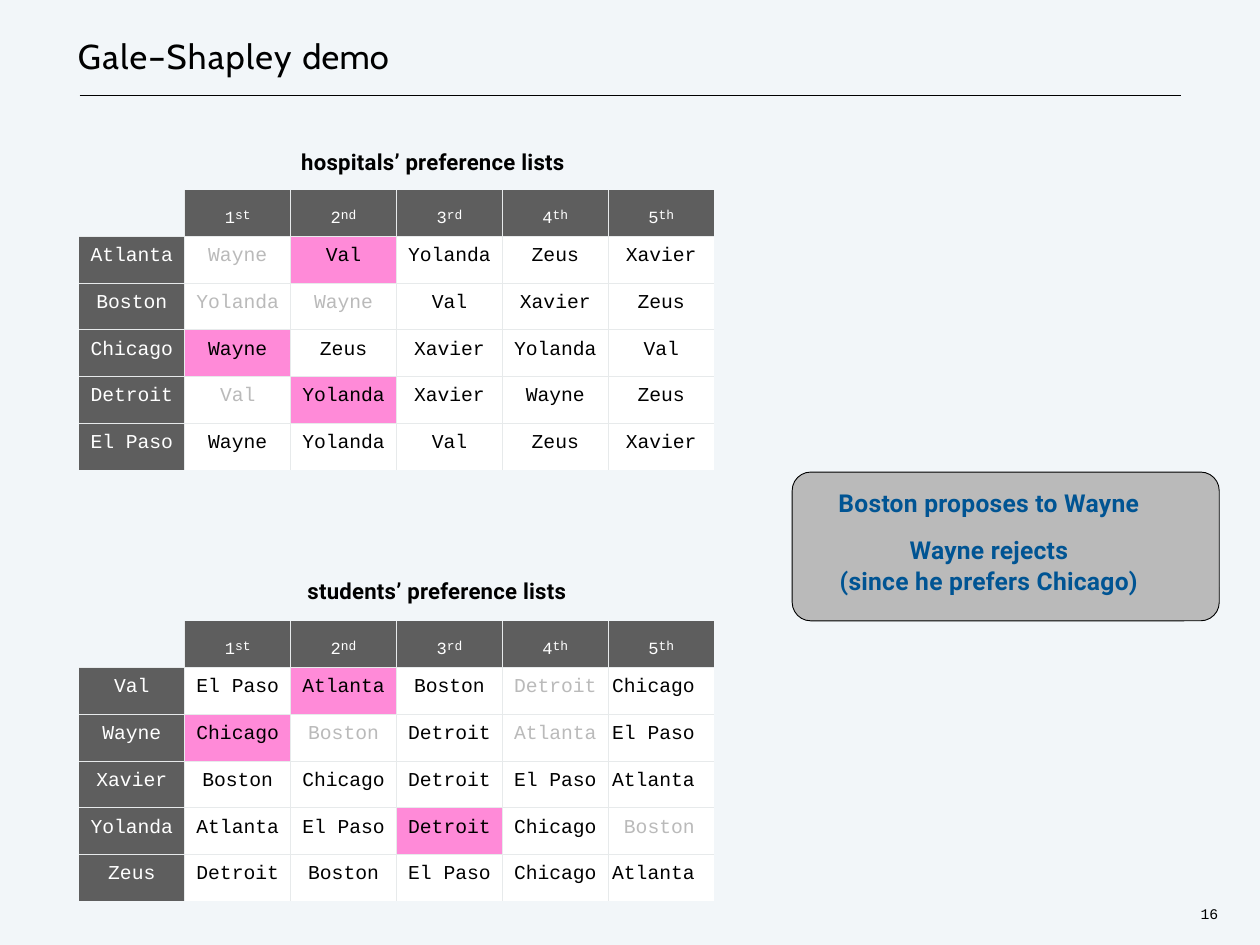
from lxml.etree import SubElement
from pptx import Presentation
from pptx.dml.color import RGBColor
from pptx.enum.shapes import MSO_CONNECTOR, MSO_SHAPE
from pptx.enum.text import MSO_ANCHOR, PP_ALIGN
from pptx.oxml.ns import qn
from pptx.util import Inches, Pt

BACK = RGBColor(0xF2, 0xF6, 0xF9)
BLACK = RGBColor(0, 0, 0)
WHITE = RGBColor(0xFF, 0xFF, 0xFF)
DARK = RGBColor(0x5E, 0x5E, 0x5E)
GREY = RGBColor(0xBA, 0xBA, 0xBA)
PINK = RGBColor(0xFF, 0x8A, 0xD8)
BLUE = RGBColor(0x00, 0x54, 0x93)
RULE = RGBColor(0xE7, 0xEA, 0xEB)

TITLE = {"name": "Cabin", "size": Pt(28)}
LABEL = {"name": "Roboto", "size": Pt(18), "bold": True}
NOTE = {"name": "Roboto", "size": Pt(20), "bold": True}
DIGIT = {"name": "Courier New", "size": Pt(24)}
SUFFIX = {"name": "Courier New", "size": Pt(10.5)}
ENTRY = {"name": "Courier New", "size": Pt(16)}
NUMBER = {"name": "Courier New", "size": Pt(12)}


def write(para, text, style, color, **extra):
    """Add a run; extra holds run attributes such as spc and baseline."""
    run = para.add_run()
    run.text = text
    for key, value in style.items():
        setattr(run.font, key, value)
    run.font.color.rgb = color
    for key, value in extra.items():
        run._r.get_or_add_rPr().set(key, str(value))


def inset(frame, top=0.0, right=0.0):
    """Set the margins of a text frame or a table cell."""
    margins = {"left": 0, "top": top, "right": right, "bottom": 0}
    for side, size in margins.items():
        setattr(frame, f"margin_{side}", Inches(size))
    frame.vertical_anchor = MSO_ANCHOR.TOP
    frame.word_wrap = True


deck = Presentation()
deck.slide_width, deck.slide_height = Inches(14.22), Inches(10.67)
slide = deck.slides.add_slide(deck.slide_layouts[5])
slide.background.fill.solid()
slide.background.fill.fore_color.rgb = BACK
shapes = slide.shapes

# Title and the rule below it
title = shapes.title
title.left, title.top = Inches(0.88), Inches(0.38)
title.width, title.height = Inches(3.68), Inches(0.49)
inset(title.text_frame, 0.02)
para = title.text_frame.paragraphs[0]
para.alignment = PP_ALIGN.LEFT
write(para, "Gale–Shapley ", TITLE, BLACK, spc=110)
write(para, "demo", TITLE, BLACK, spc=20)

line = shapes.add_connector(MSO_CONNECTOR.STRAIGHT, Inches(0.9), Inches(1.08),
                            Inches(13.33), Inches(1.08))
line.line.color.rgb = BLACK
line.line.width = Pt(1)
SubElement(line._element.spPr, qn("a:effectLst"))

# Preference tables: "-" marks a rejection, "*" a current match
HEADS = ["1st", "2nd", "3rd", "4th", "5th"]
HOSPITALS = [
    ["Atlanta", "-Wayne", "*Val", "Yolanda", "Zeus", "Xavier"],
    ["Boston", "-Yolanda", "-Wayne", "Val", "Xavier", "Zeus"],
    ["Chicago", "*Wayne", "Zeus", "Xavier", "Yolanda", "Val"],
    ["Detroit", "-Val", "*Yolanda", "Xavier", "Wayne", "Zeus"],
    ["El Paso", "Wayne", "Yolanda", "Val", "Zeus", "Xavier"],
]
STUDENTS = [
    ["Val", "El Paso", "*Atlanta", "Boston", "-Detroit", "Chicago"],
    ["Wayne", "*Chicago", "-Boston", "Detroit", "-Atlanta", "El Paso"],
    ["Xavier", "Boston", "Chicago", "Detroit", "El Paso", "Atlanta"],
    ["Yolanda", "Atlanta", "El Paso", "*Detroit", "Chicago", "-Boston"],
    ["Zeus", "Detroit", "Boston", "El Paso", "Chicago", "Atlanta"],
]
SIZE = 6

for top, rows, last in [(2.14, HOSPITALS, PP_ALIGN.CENTER),
                        (7.01, STUDENTS, PP_ALIGN.RIGHT)]:
    table = shapes.add_table(SIZE, SIZE, Inches(0.89), Inches(top),
                             Inches(7.17), Inches(3.17)).table
    for col in table.columns:
        col.width = Inches(7.17 / SIZE)
    for row in table.rows:
        row.height = Inches(3.17 / SIZE)

    for r, words in enumerate([[""] + HEADS] + rows):
        for c, word in enumerate(words):
            cell = table.cell(r, c)

            # Thin rules inside the grid, none around it
            inner = {"L": c > 0, "R": c < SIZE - 1, "T": r > 0, "B": r < SIZE - 1}
            for side, shown in inner.items():
                edge = SubElement(cell._tc.get_or_add_tcPr(), qn(f"a:ln{side}"),
                                  w=str(Pt(1)))
                fill = SubElement(edge, qn("a:solidFill" if shown else "a:noFill"))
                if shown:
                    SubElement(fill, qn("a:srgbClr"), val=str(RULE))

            head = r == 0 or c == 0
            paint = DARK if head else PINK if word[0] == "*" else WHITE
            cell.fill.solid()
            cell.fill.fore_color.rgb = paint if word else BACK
            if not word:
                continue

            para = cell.text_frame.paragraphs[0]
            para.alignment = PP_ALIGN.CENTER
            if r == 0:
                inset(cell, 0.06)
                para.space_before = Pt(4.1)
                write(para, word[0], DIGIT, WHITE, baseline=-14000)
                write(para, word[1:], SUFFIX, WHITE)
                continue
            inset(cell, 0.1)
            para.space_before = Pt(7)
            if c == SIZE - 1 and last == PP_ALIGN.RIGHT:
                para.alignment = last
                cell.margin_right = Inches(0.22)
            ink = WHITE if head else GREY if word[0] == "-" else BLACK
            write(para, word.lstrip("-*"), ENTRY, ink)

# Callout with the current step
box = shapes.add_shape(MSO_SHAPE.ROUNDED_RECTANGLE, Inches(8.94), Inches(5.33),
                       Inches(4.82), Inches(1.68))
box.shadow.inherit = False
box.adjustments[0] = 0.125
box.fill.solid()
box.fill.fore_color.rgb = GREY
box.line.color.rgb = BLACK
box.line.width = Pt(0.75)
frame = box.text_frame
inset(frame, 0.12, 0.38)
STEPS = [("Boston proposes to Wayne", 0), ("Wayne rejects", 14),
         ("(since he prefers Chicago)", 1)]
for i, (text, gap) in enumerate(STEPS):
    para = frame.add_paragraph() if i else frame.paragraphs[0]
    para.alignment = PP_ALIGN.CENTER
    para.space_before = Pt(gap)
    write(para, text, NOTE, BLUE, spc=20)

# Table labels and slide number
NOTES = [
    (3.4, 1.68, 3.36, 0.33, "hospitals’ preference lists", LABEL),
    (3.47, 6.52, 3.31, 0.33, "students’ preference lists", LABEL),
    (13.55, 10.22, 0.29, 0.23, "16", NUMBER),
]
for left, top, width, height, text, style in NOTES:
    label = shapes.add_textbox(Inches(left), Inches(top), Inches(width), Inches(height))
    inset(label.text_frame)
    write(label.text_frame.paragraphs[0], text, style, BLACK, spc=20 if style is LABEL else 0)

deck.save("out.pptx")
